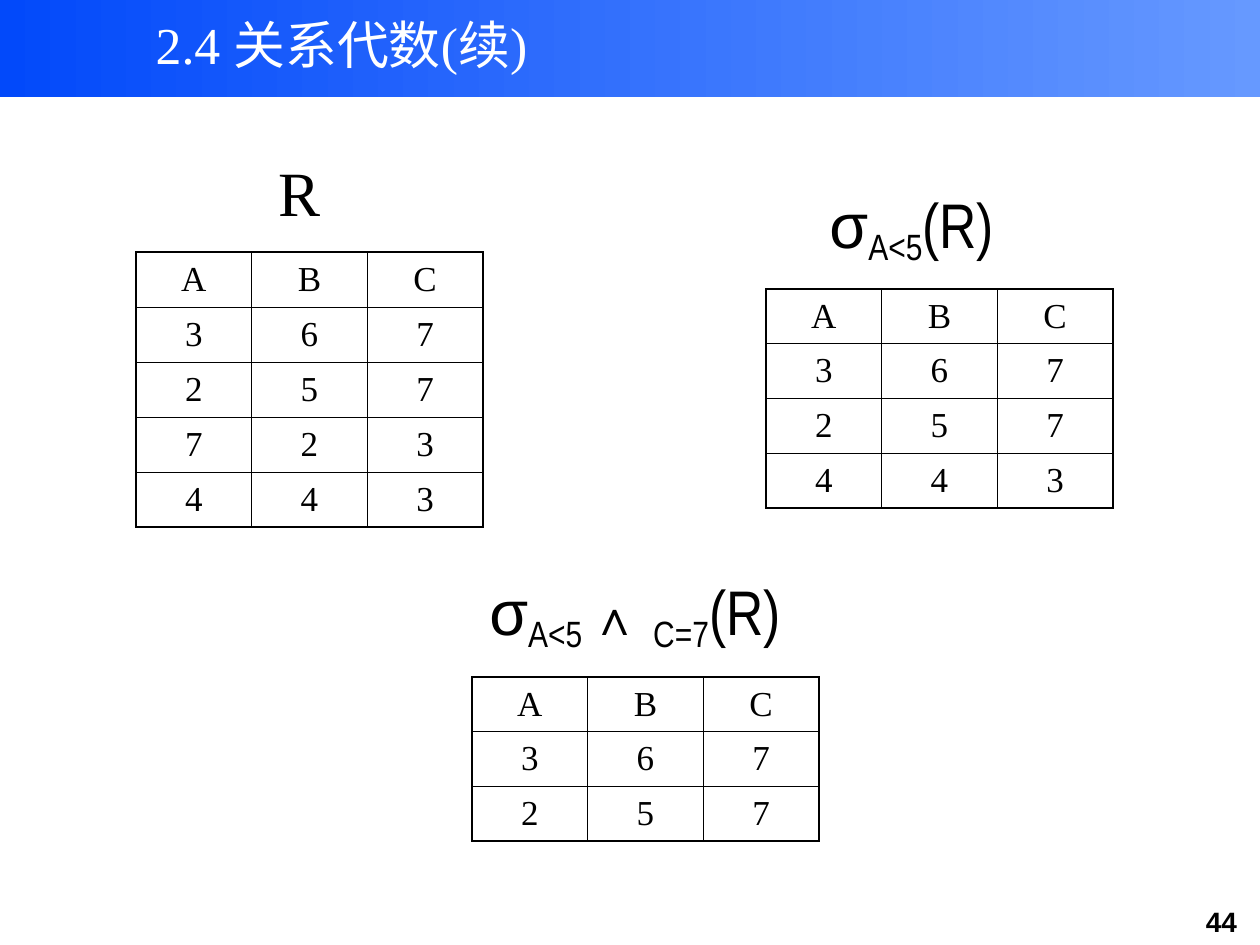
from dataclasses import dataclass
from lxml import etree
from pptx import Presentation
from pptx import util as u
from pptx.dml.color import RGBColor
from pptx.enum import shapes, text
from pptx.oxml import ns

SCALE = 914400 / 126


@dataclass(frozen=True)
class Theme:
    ink: str = "000000"
    white: str = "FFFFFF"
    deep: str = "0249FA"
    light: str = "6699FF"
    serif: str = "Times New Roman"
    sans: str = "Arial"
    narrow: str = "Arial Narrow"
    title: float = 29.6
    head: int = 36
    sign: int = 28
    cell: int = 20
    page: int = 16
    thick: float = 1.08
    thin: float = 0.45


T = Theme()


def px(n):
    return u.Emu(round(n * SCALE))


def add_run(para, words, face, size, color=T.ink, bold=False, base=0):
    run = para.add_run()
    run.text = words
    font = run.font
    font.name, font.size, font.bold = face, u.Pt(size), bold
    font.color.rgb = RGBColor.from_string(color)
    if base:
        font._element.set("baseline", str(base * 1000))


def add_band(slide, box):
    band = slide.shapes.add_shape(shapes.MSO_SHAPE.RECTANGLE, *map(px, box))
    band.shadow.inherit = False
    band.line.fill.background()
    band.fill.gradient()
    band.fill.gradient_angle = 0
    for stop, color, place in zip(band.fill.gradient_stops, (T.deep, T.light), (0, 1)):
        stop.color.rgb = RGBColor.from_string(color)
        stop.position = place


def add_label(slide, box, runs, anchor=text.MSO_ANCHOR.TOP):
    frame = slide.shapes.add_textbox(*map(px, box)).text_frame
    frame.word_wrap = True
    frame.vertical_anchor = anchor
    para = frame.paragraphs[0]
    para.alignment = text.PP_ALIGN.CENTER
    for words, face, size, *rest in runs:
        add_run(para, words, face, size, **(rest[0] if rest else {}))


def set_edges(cell, outer):
    props = cell._tc.get_or_add_tcPr()
    for at, (side, edge) in enumerate(zip("LRTB", outer)):
        line = etree.Element(ns.qn(f"a:ln{side}"), w=str(u.Pt(T.thick if edge else T.thin)))
        fill = etree.SubElement(line, ns.qn("a:solidFill"))
        etree.SubElement(fill, ns.qn("a:srgbClr"), val=T.ink)
        props.insert(at, line)


def add_grid(slide, box, rows):
    high, wide = len(rows), len(rows[0])
    grid = slide.shapes.add_table(high, wide, *map(px, box)).table
    grid.first_row = grid.horz_banding = False
    for row in grid.rows:
        row.height = px(box[3] / high)
    for col in grid.columns:
        col.width = px(box[2] / wide)
    for r, row in enumerate(rows):
        for c, value in enumerate(row):
            cell = grid.cell(r, c)
            cell.fill.background()
            cell.vertical_anchor = text.MSO_ANCHOR.MIDDLE
            para = cell.text_frame.paragraphs[0]
            para.alignment = text.PP_ALIGN.CENTER
            add_run(para, value, T.serif, T.cell)
            set_edges(cell, (c == 0, c == wide - 1, r == 0, r == high - 1))


def main():
    deck = Presentation()
    deck.slide_width, deck.slide_height = px(1260), px(945)
    slide = deck.slides.add_slide(deck.slide_layouts[6])
    add_band(slide, (0, 0, 1260, 97))
    add_label(slide, (1183, 898, 77, 47), [("44", T.sans, T.page, {"bold": True})])
    add_label(slide, (116, 1, 451, 85),
              [("2.4 关系代数(续)", T.serif, T.title, {"color": T.white})],
              text.MSO_ANCHOR.MIDDLE)

    sub = {"base": -20}
    sigma = ("σ", T.sans, T.head)
    tail = ("(R) ", T.narrow, T.head)
    add_label(slide, (242, 147, 116, 88), [("R", T.serif, T.head)])
    add_label(slide, (809, 179, 220, 96),
              [sigma, ("A<5", T.narrow, T.head, sub), tail])
    add_label(slide, (472, 566, 326, 96),
              [sigma, ("A<5 ", T.narrow, T.head, sub), ("∧ ", T.sans, T.sign),
               ("C=7", T.narrow, T.head, sub), tail])

    add_grid(slide, (136, 252, 347, 275), ["ABC", "367", "257", "723", "443"])
    add_grid(slide, (766, 289, 347, 218), ["ABC", "367", "257", "443"])
    add_grid(slide, (472, 677, 347, 164), ["ABC", "367", "257"])
    deck.save("out.pptx")


if __name__ == "__main__":
    main()
